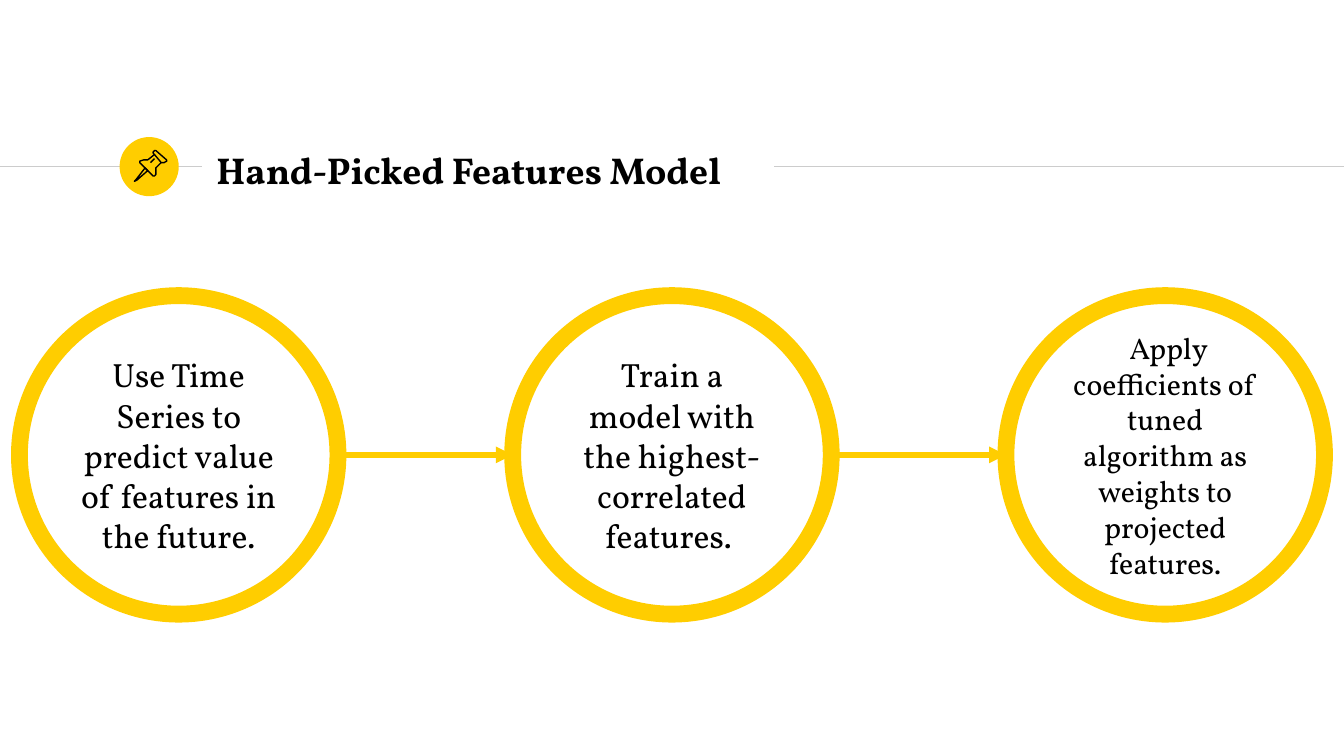
from lxml import etree
from pptx import Presentation
from pptx.dml.color import RGBColor
from pptx.enum import shapes, text
from pptx.oxml import ns
from pptx.util import Inches, Pt

COLORS = {"accent": "FFCD00", "rule": "CCCCCC", "text": "000000"}
FONT = "Vollkorn"
SLIDE_WIDTH = 10
SLIDE_HEIGHT = SLIDE_WIDTH * 9 / 16

STEPS = [
    ("Use Time Series to predict value of features in the future.", 18),
    ("Train a model with the highest-correlated features. ", 18),
    (" Apply coefficients of tuned algorithm as weights to projected features.", 16),
]
DIAMETER, STEP_TOP, STEP_PITCH = 2.37, 2.2, 3.67

# Pushpin outlines in hundredths of an inch: points, closed
PIN = [
    ([(108, 125), (101, 134), (100, 135), (102, 134), (110, 127)], True),
    ([(115, 115), (120, 121), (122, 121), (124, 120), (124, 119),
      (116, 112), (115, 112), (114, 113), (114, 114)], True),
    ([(115, 115), (110, 119), (107, 119), (104, 120), (104, 121), (114, 131),
      (115, 131), (116, 130), (116, 125), (120, 121)], False),
    ([(112, 121), (115, 118)], False),
]


def color(name):
    return RGBColor.from_string(COLORS[name])


def set_line(sp, name, width):
    sp.line.color.rgb = color(name)
    sp.line.width = Pt(width)


def add_line(s, x1, x2, y, name, width, arrow=False):
    c = s.shapes.add_connector(shapes.MSO_CONNECTOR.STRAIGHT,
                               Inches(x1), Inches(y), Inches(x2), Inches(y))
    set_line(c, name, width)
    if arrow:
        line = c._element.spPr.find(ns.qn("a:ln"))
        etree.SubElement(line, ns.qn("a:tailEnd"), type="triangle")
    etree.SubElement(c._element.spPr, ns.qn("a:effectLst"))


def add_circle(s, left, top, size):
    sp = s.shapes.add_shape(shapes.MSO_SHAPE.OVAL, Inches(left), Inches(top),
                            Inches(size), Inches(size))
    sp.shadow.inherit = False
    return sp


def write(sp, words, size, align, bold=False):
    """Fill the shape's text frame with one styled paragraph."""
    tf = sp.text_frame
    tf.word_wrap = True
    tf.vertical_anchor = text.MSO_ANCHOR.MIDDLE
    tf.margin_left = tf.margin_right = tf.margin_top = tf.margin_bottom = Inches(0.1)
    p = tf.paragraphs[0]
    p.alignment = align
    r = p.add_run()
    r.text = words
    r.font.name, r.font.size, r.font.bold = FONT, Pt(size), bold
    r.font.color.rgb = color("text")
    return p


def add_title(s, words):
    sp = s.shapes.title
    sp.left, sp.top, sp.width, sp.height = map(Inches, (1.51, 1.02, 4.24, 0.48))
    write(sp, words, 20, text.PP_ALIGN.LEFT, bold=True)


def add_pin(s):
    group = s.shapes.add_group_shape()
    for points, closed in PIN:
        builder = group.shapes.build_freeform(*points[0], scale=Inches(0.01))
        builder.add_line_segments(points[1:], close=closed)
        sp = builder.convert_to_shape()
        sp.shadow.inherit = False
        sp.fill.background()
        set_line(sp, "text", 0.75)


def add_step(s, left, words, size):
    sp = add_circle(s, left, STEP_TOP, DIAMETER)
    sp.fill.background()
    set_line(sp, "accent", 9)
    p = write(sp, words, size, text.PP_ALIGN.CENTER)
    p.space_before = Pt(6)


def main():
    prs = Presentation()
    prs.slide_width, prs.slide_height = Inches(SLIDE_WIDTH), Inches(SLIDE_HEIGHT)
    s = prs.slides.add_slide(prs.slide_layouts[5])

    add_line(s, 0, 1.5, 1.24, "rule", 0.75)
    add_line(s, 5.76, SLIDE_WIDTH, 1.24, "rule", 0.75)
    badge = add_circle(s, 0.89, 1.02, 0.44)
    badge.fill.solid()
    badge.fill.fore_color.rgb = color("accent")
    badge.line.fill.background()
    add_title(s, "Hand-Picked Features Model")
    add_pin(s)

    middle = (SLIDE_WIDTH - DIAMETER) / 2
    lefts = [middle + i * STEP_PITCH for i in (-1, 0, 1)]
    for left, (words, size) in zip(lefts, STEPS):
        add_step(s, left, words, size)
    for left, following in zip(lefts, lefts[1:]):
        add_line(s, left + DIAMETER, following, STEP_TOP + DIAMETER / 2,
                 "accent", 3, arrow=True)

    prs.save("out.pptx")


if __name__ == "__main__":
    main()
